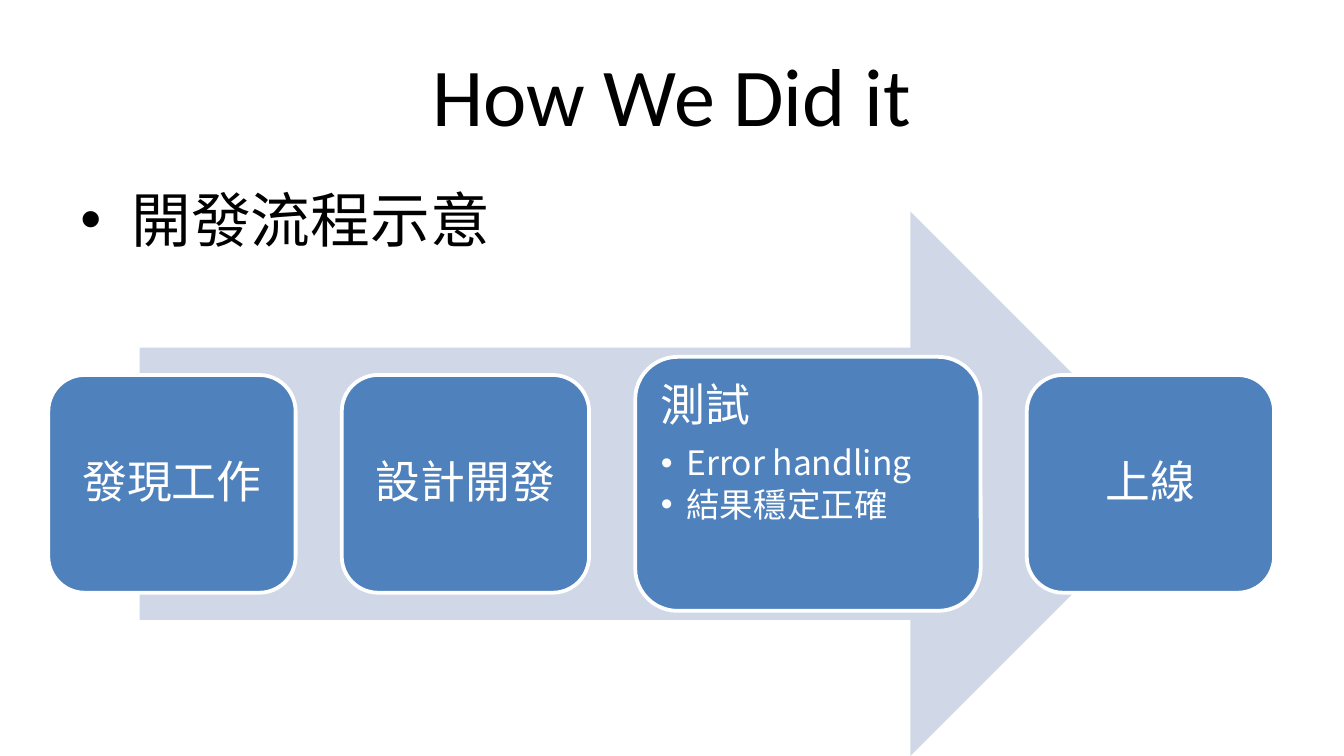
from lxml.etree import SubElement
from pptx import Presentation
from pptx.dml.color import RGBColor
from pptx.enum.shapes import MSO_SHAPE as Shape
from pptx.enum.text import MSO_ANCHOR as Anchor, PP_ALIGN as Align
from pptx.oxml.ns import qn
from pptx.util import Inches, Pt

BLACK = RGBColor(0x00, 0x00, 0x00)
WHITE = RGBColor(0xFF, 0xFF, 0xFF)
BLUE = RGBColor(0x4F, 0x81, 0xBD)
PALE_BLUE = RGBColor(0xD0, 0xD8, 0xE8)
LATIN, CJK = "Calibri", "Noto Sans CJK SC"
SLIDE_WIDTH = 10
SLIDE_HEIGHT = SLIDE_WIDTH * 9 / 16


def write_paragraph(paragraph, text, size, color, font_name, indent=0, **formats):
    for name, value in formats.items():
        setattr(paragraph, name, value)
    run = paragraph.add_run()
    run.text = text
    for name, value in {"size": Pt(size), "name": font_name}.items():
        setattr(run.font, name, value)
    run.font.color.rgb = color
    SubElement(run.font._element, qn("a:ea"), typeface=CJK)
    if indent:
        properties = paragraph._p.get_or_add_pPr()
        properties.set("marL", str(Inches(indent)))
        properties.set("indent", str(-Inches(indent)))
        SubElement(properties, qn("a:buFont"), typeface="Arial")
        SubElement(properties, qn("a:buChar"), char="•")


def add_filled_shape(slide, preset, left, top, width, height, color):
    shape = slide.shapes.add_shape(preset, *map(Inches, (left, top, width, height)))
    shape.shadow.inherit = False
    shape.fill.solid()
    shape.fill.fore_color.rgb = color
    shape.line.fill.background()
    return shape


presentation = Presentation()
presentation.slide_width = Inches(SLIDE_WIDTH)
presentation.slide_height = Inches(SLIDE_HEIGHT)
slide = presentation.slides.add_slide(presentation.slide_layouts[6])

headings = [
    ("How We Did it", 0.23, 0.94, 44, Anchor.MIDDLE, Align.CENTER, 0),
    ("開發流程示意", 1.31, 3.71, 32, Anchor.TOP, Align.LEFT, 0.38),
]
for text, top, height, size, anchor, alignment, indent in headings:
    box = slide.shapes.add_textbox(Inches(0.5), Inches(top), Inches(9), Inches(height))
    frame = box.text_frame
    frame.word_wrap = True
    frame.vertical_anchor = anchor
    write_paragraph(frame.paragraphs[0], text, size, BLACK, LATIN, indent, alignment=alignment)

arrow_height = 4.05
arrow_top = SLIDE_HEIGHT - arrow_height
add_filled_shape(slide, Shape.RIGHT_ARROW, 1.04, arrow_top, 7.76, arrow_height, PALE_BLUE)

steps = [
    ("發現工作", 1.84, 1.62, []),
    ("設計開發", 1.84, 1.62, []),
    ("測試", 2.57, 1.89, ["Error handling", "結果穩定正確"]),
    ("上線", 1.84, 1.62, []),
]
left, right = 0.36, 9.48
gap = (right - left - sum(step[1] for step in steps)) / (len(steps) - 1)
middle = arrow_top + arrow_height / 2
for title, width, height, details in steps:
    step = add_filled_shape(
        slide, Shape.ROUNDED_RECTANGLE, left, middle - height / 2, width, height, BLUE
    )
    step.line.color.rgb = WHITE
    step.line.width = Pt(2)
    frame = step.text_frame
    frame_formats = {
        "word_wrap": True,
        "vertical_anchor": Anchor.TOP if details else Anchor.MIDDLE,
        **{f"margin_{side}": Inches(0.1) for side in ("left", "top", "right", "bottom")},
    }
    for name, value in frame_formats.items():
        setattr(frame, name, value)
    alignment = Align.LEFT if details else Align.CENTER
    write_paragraph(frame.paragraphs[0], title, 24, WHITE, CJK,
                    alignment=alignment, line_spacing=0.9, space_after=Pt(8.4))
    for detail in details:
        write_paragraph(frame.add_paragraph(), detail, 18, WHITE, CJK, 0.19,
                        level=1, alignment=alignment, line_spacing=0.9, space_after=Pt(2.7))
    left += width + gap

presentation.save("out.pptx")
